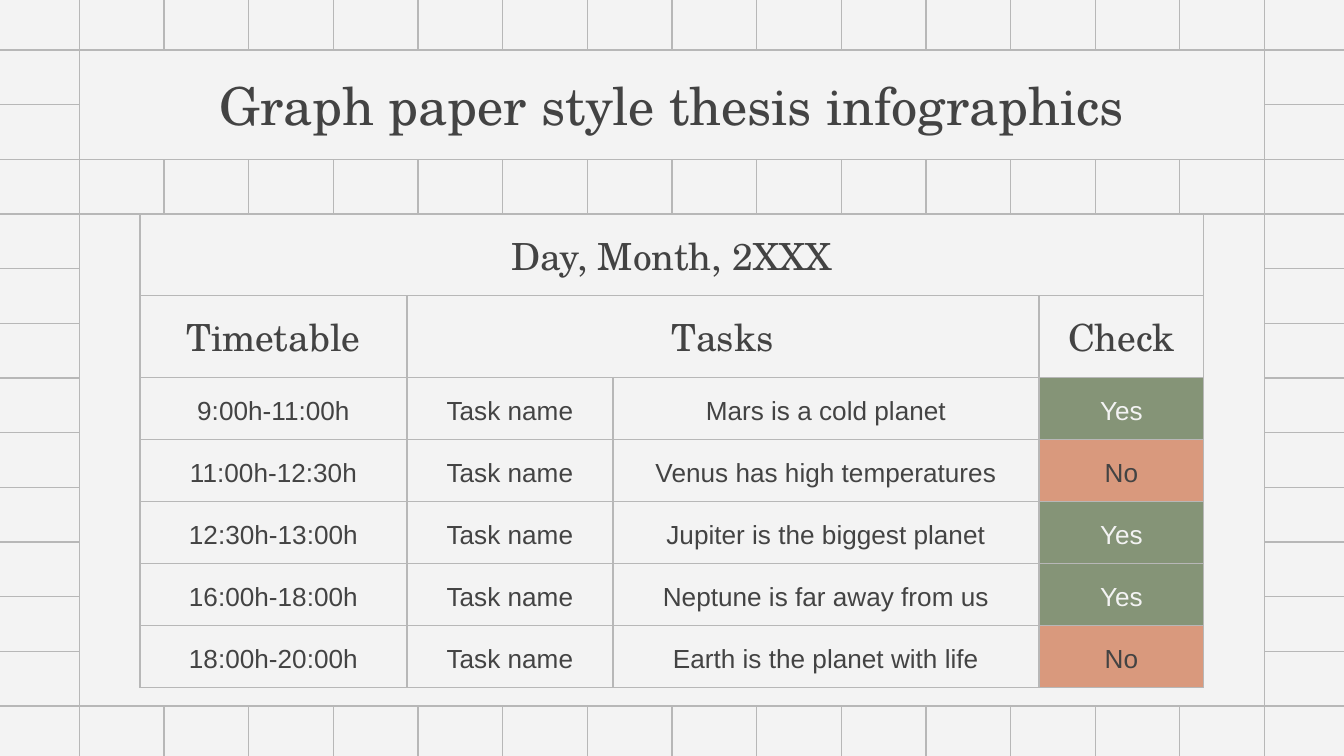
from dataclasses import dataclass
from itertools import pairwise

from lxml.etree import SubElement
from pptx import Presentation
from pptx.dml.color import RGBColor
from pptx.enum.shapes import MSO_CONNECTOR, MSO_SHAPE
from pptx.enum.text import MSO_ANCHOR, PP_ALIGN
from pptx.oxml.ns import qn
from pptx.shapes.autoshape import Shape
from pptx.slide import Slide
from pptx.table import Table, _Cell
from pptx.util import Emu, Pt

EMU_PER_PX = 914400 / 134.4
SLIDE_WIDTH, SLIDE_HEIGHT = 1344, 756


@dataclass(frozen=True)
class Theme:
    paper: RGBColor = RGBColor.from_string("F3F3F3")
    rule: RGBColor = RGBColor.from_string("B7B7B7")
    ink: RGBColor = RGBColor.from_string("434343")
    done: RGBColor = RGBColor.from_string("859477")
    pending: RGBColor = RGBColor.from_string("D9997D")
    heading_font: str = "TeX Gyre Schola"
    body_font: str = "Arial"
    title_size: int = 28
    heading_size: int = 20
    body_size: int = 14
    rule_width: float = 0.75
    inset: float = 7.2


THEME = Theme()


@dataclass(frozen=True)
class Grid:
    """A grid centred on the slide."""
    width: int
    height: int
    columns: int
    rows: int

    def x(self, column: int) -> float:
        return SLIDE_WIDTH / 2 + self.width * (column / self.columns - 0.5)

    def y(self, row: int) -> float:
        return SLIDE_HEIGHT / 2 + self.height * (row / self.rows - 0.5)


@dataclass(frozen=True)
class Task:
    hours: str
    description: str
    checked: bool


GRID = Grid(width=1185, height=656, columns=14, rows=12)
TABLE_LEFT = 140
COLUMN_WIDTHS = (267, 206, 426, 165)
HEADING_HEIGHT, TASK_HEIGHT = 77, 62
HEADING_ROWS = 2
TASKS = (
    Task("9:00h-11:00h", "Mars is a cold planet", True),
    Task("11:00h-12:30h", "Venus has high temperatures", False),
    Task("12:30h-13:00h", "Jupiter is the biggest planet", True),
    Task("16:00h-18:00h", "Neptune is far away from us", True),
    Task("18:00h-20:00h", "Earth is the planet with life", False),
)


def px(length: float) -> Emu:
    return Emu(round(length * EMU_PER_PX))


def write(target: Shape | _Cell, text: str, font_name: str, size: int, color: RGBColor) -> None:
    """Set centred text with even insets in a shape or a table cell."""
    frame = target.text_frame
    frame.text = text
    holder = target if isinstance(target, _Cell) else frame
    holder.margin_left = holder.margin_right = Pt(THEME.inset)
    holder.margin_top = holder.margin_bottom = Pt(THEME.inset)
    paragraph = frame.paragraphs[0]
    paragraph.alignment = PP_ALIGN.CENTER
    paragraph.font.name = font_name
    paragraph.font.size = Pt(size)
    paragraph.font.color.rgb = color


def draw_rule(slide: Slide, x1: float, y1: float, x2: float, y2: float) -> None:
    rule = slide.shapes.add_connector(MSO_CONNECTOR.STRAIGHT, px(x1), px(y1), px(x2), px(y2))
    rule.line.color.rgb = THEME.rule
    rule.line.width = Pt(THEME.rule_width)
    SubElement(rule._element.spPr, qn("a:effectLst"))


def draw_graph_paper(slide: Slide) -> None:
    """Rule the slide in four quarters that meet at its centre."""
    for top, bottom in pairwise((0, SLIDE_HEIGHT / 2, SLIDE_HEIGHT)):
        for column in range(GRID.columns + 1):
            draw_rule(slide, GRID.x(column), top, GRID.x(column), bottom)
    for left, right in pairwise((0, SLIDE_WIDTH / 2, SLIDE_WIDTH)):
        for row in range(GRID.rows + 1):
            draw_rule(slide, left, GRID.y(row), right, GRID.y(row))


def draw_panel(slide: Slide, first_row: int, last_row: int) -> Shape:
    """Cover the full grid width between two grid rows."""
    top = GRID.y(first_row)
    panel = slide.shapes.add_shape(
        MSO_SHAPE.RECTANGLE, px(GRID.x(0)), px(top), px(GRID.width), px(GRID.y(last_row) - top)
    )
    panel.shadow.inherit = False
    panel.fill.solid()
    panel.fill.fore_color.rgb = THEME.paper
    panel.line.color.rgb = THEME.rule
    panel.line.width = Pt(THEME.rule_width)
    return panel


def add_borders(cell: _Cell) -> None:
    properties = cell._tc.get_or_add_tcPr()
    for side in ("a:lnL", "a:lnR", "a:lnT", "a:lnB"):
        border = SubElement(properties, qn(side), w=str(Pt(THEME.rule_width)))
        fill = SubElement(border, qn("a:solidFill"))
        SubElement(fill, qn("a:srgbClr"), val=str(THEME.rule))


def fill_task_row(table: Table, row: int, task: Task) -> None:
    check = "Yes" if task.checked else "No"
    for column, text in enumerate((task.hours, "Task name", task.description, check)):
        is_check = column == len(COLUMN_WIDTHS) - 1
        color = THEME.paper if is_check and task.checked else THEME.ink
        cell = table.cell(row, column)
        write(cell, text, THEME.body_font, THEME.body_size, color)
        if is_check:
            cell.fill.solid()
            cell.fill.fore_color.rgb = THEME.done if task.checked else THEME.pending


def draw_schedule(slide: Slide, top: float) -> None:
    heights = [HEADING_HEIGHT] * HEADING_ROWS + [TASK_HEIGHT] * len(TASKS)
    table = slide.shapes.add_table(
        len(heights), len(COLUMN_WIDTHS),
        px(TABLE_LEFT), px(top), px(sum(COLUMN_WIDTHS)), px(sum(heights)),
    ).table
    table.first_row = table.horz_banding = False
    for column, width in zip(table.columns, COLUMN_WIDTHS):
        column.width = px(width)
    for row, height in zip(table.rows, heights):
        row.height = px(height)
    for cell in table.iter_cells():
        add_borders(cell)
        cell.fill.background()
        cell.vertical_anchor = MSO_ANCHOR.BOTTOM

    table.cell(0, 0).merge(table.cell(0, 3))
    table.cell(1, 1).merge(table.cell(1, 2))
    headings = {(0, 0): "Day, Month, 2XXX", (1, 0): "Timetable", (1, 1): "Tasks", (1, 3): "Check"}
    for (row, column), text in headings.items():
        write(table.cell(row, column), text, THEME.heading_font, THEME.heading_size, THEME.ink)
    for row, task in enumerate(TASKS, start=HEADING_ROWS):
        fill_task_row(table, row, task)


def main() -> None:
    presentation = Presentation()
    presentation.slide_width = px(SLIDE_WIDTH)
    presentation.slide_height = px(SLIDE_HEIGHT)
    slide = presentation.slides.add_slide(presentation.slide_layouts[6])
    slide.background.fill.solid()
    slide.background.fill.fore_color.rgb = THEME.paper

    draw_graph_paper(slide)
    draw_panel(slide, 3, GRID.rows)
    title = draw_panel(slide, 0, 2)
    title.text_frame.word_wrap = True
    title.text_frame.vertical_anchor = MSO_ANCHOR.MIDDLE
    write(title, "Graph paper style thesis infographics", THEME.heading_font, THEME.title_size, THEME.ink)
    draw_schedule(slide, GRID.y(3))
    presentation.save("out.pptx")


if __name__ == "__main__":
    main()
